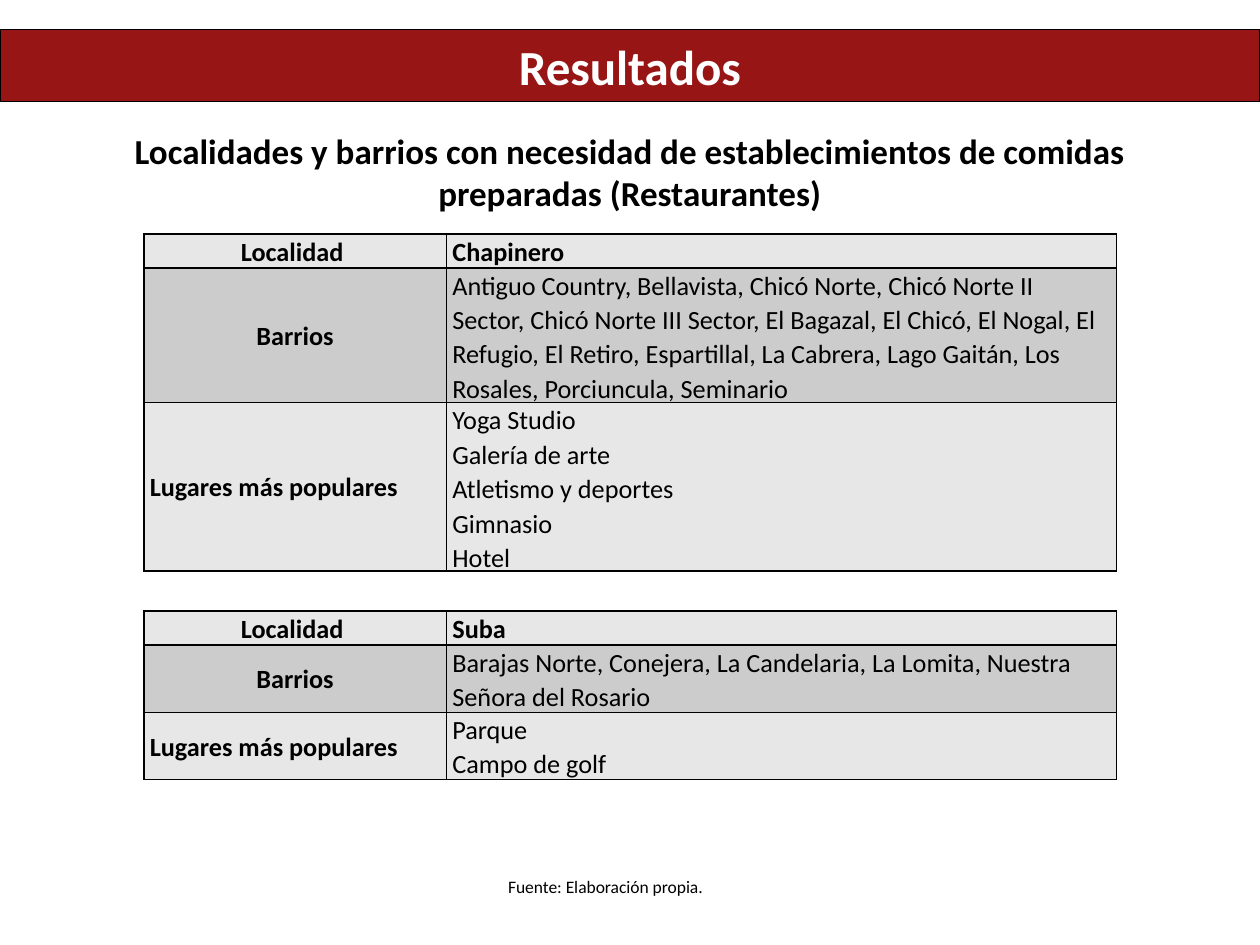
from dataclasses import dataclass

from lxml import etree
from pptx import Presentation
from pptx.dml.color import RGBColor
from pptx.enum.text import MSO_ANCHOR, MSO_AUTO_SIZE, PP_ALIGN
from pptx.oxml.ns import qn
from pptx.slide import Slide
from pptx.table import _Cell
from pptx.text.text import TextFrame
from pptx.util import Cm, Pt

CENTER, LEFT = PP_ALIGN.CENTER, PP_ALIGN.LEFT
TOP, MIDDLE = MSO_ANCHOR.TOP, MSO_ANCHOR.MIDDLE
NO_AUTOFIT = MSO_AUTO_SIZE.NONE
TITLE_ONLY = 5


@dataclass(frozen=True)
class Theme:
    font: str = "Calibri"
    banner: str = "971515"
    black: str = "000000"
    white: str = "FFFFFF"
    light: str = "E7E7E7"
    dark: str = "CCCCCC"
    title_size: int = 28
    heading_size: int = 20
    table_size: int = 15
    source_size: int = 10


@dataclass(frozen=True)
class Caption:
    text: str
    left: float
    top: float
    width: float
    height: float
    size: int
    bold: bool
    anchor: MSO_ANCHOR


@dataclass(frozen=True)
class District:
    top: float
    name: str
    neighbourhoods: str
    neighbourhood_lines: int
    places: tuple[str, ...]


THEME = Theme()
TABLE_LEFT = 2.9
COLUMN_WIDTHS = (6.1, 13.51)
LINE_HEIGHT = 0.67
CELL_MARGIN = 0.12

CAPTIONS = (
    Caption("Localidades y barrios con necesidad de establecimientos de comidas "
            "preparadas (Restaurantes)",
            1.85, 2.49, 21.69, 2.82, THEME.heading_size, True, TOP),
    Caption("Fuente: Elaboración propia.",
            3.1, 17.53, 18.21, 0.69, THEME.source_size, False, MIDDLE),
)

DISTRICTS = (
    District(4.72, "Chapinero",
             "Antiguo Country, Bellavista, Chicó Norte, Chicó Norte II Sector, "
             "Chicó Norte III Sector, El Bagazal, El Chicó, El Nogal, El Refugio, "
             "El Retiro, Espartillal, La Cabrera, Lago Gaitán, Los Rosales, "
             "Porciuncula, Seminario", 4,
             ("Yoga Studio", "Galería de arte", "Atletismo y deportes", "Gimnasio", "Hotel")),
    District(12.32, "Suba",
             "Barajas Norte, Conejera, La Candelaria, La Lomita, "
             "Nuestra Señora del Rosario", 2,
             ("Parque", "Campo de golf")),
)


def write(frame: TextFrame, text: str, size: int, bold: bool, color: str,
          align: PP_ALIGN, spacing: float = 1.0) -> None:
    frame.text = text
    frame.word_wrap = True
    for para in frame.paragraphs:
        para.alignment = align
        para.line_spacing = spacing
        for span in para.runs:
            span.font.name = THEME.font
            span.font.size = Pt(size)
            span.font.bold = bold
            span.font.color.rgb = RGBColor.from_string(color)


def draw_title(slide: Slide, text: str) -> None:
    banner = slide.shapes.title
    banner.left, banner.top = Cm(0), Cm(0.6)
    banner.width, banner.height = Cm(25.4), Cm(1.45)
    banner.fill.solid()
    banner.fill.fore_color.rgb = RGBColor.from_string(THEME.banner)
    banner.line.color.rgb = RGBColor.from_string(THEME.black)
    banner.line.width = Pt(0.75)
    write(banner.text_frame, text, THEME.title_size, True, THEME.white, CENTER)
    banner.text_frame.auto_size = NO_AUTOFIT
    banner.text_frame.vertical_anchor = MIDDLE


def draw_caption(slide: Slide, caption: Caption) -> None:
    box = slide.shapes.add_textbox(Cm(caption.left), Cm(caption.top),
                                   Cm(caption.width), Cm(caption.height))
    write(box.text_frame, caption.text, caption.size, caption.bold, THEME.black, CENTER)
    box.text_frame.vertical_anchor = caption.anchor


def add_borders(cell: _Cell) -> None:
    properties = cell._tc.get_or_add_tcPr()
    for position, side in enumerate(("a:lnL", "a:lnR", "a:lnT", "a:lnB")):
        border = etree.Element(qn(side), w=str(Pt(1)))
        fill = etree.SubElement(border, qn("a:solidFill"))
        etree.SubElement(fill, qn("a:srgbClr"), val=THEME.black)
        properties.insert(position, border)


def draw_cell(cell: _Cell, text: str, bold: bool, align: PP_ALIGN, fill: str) -> None:
    write(cell.text_frame, text, THEME.table_size, bold, THEME.black, align, 1.07)
    cell.vertical_anchor = MIDDLE
    cell.margin_left = cell.margin_right = Cm(CELL_MARGIN)
    cell.margin_top = cell.margin_bottom = Cm(0)
    cell.fill.solid()
    cell.fill.fore_color.rgb = RGBColor.from_string(fill)
    add_borders(cell)


def draw_district(slide: Slide, district: District) -> None:
    rows = (
        ("Localidad ", CENTER, district.name, True, 1, THEME.light),
        ("Barrios", CENTER, district.neighbourhoods, False,
         district.neighbourhood_lines, THEME.dark),
        ("Lugares más populares", LEFT, "\n".join(district.places), False,
         len(district.places), THEME.light),
    )
    total_lines = sum(row[4] for row in rows)
    table = slide.shapes.add_table(
        len(rows), len(COLUMN_WIDTHS), Cm(TABLE_LEFT), Cm(district.top),
        Cm(sum(COLUMN_WIDTHS)), Cm(total_lines * LINE_HEIGHT)).table
    for column, width in zip(table.columns, COLUMN_WIDTHS):
        column.width = Cm(width)
    for index, (label, align, value, bold, lines, fill) in enumerate(rows):
        table.rows[index].height = Cm(lines * LINE_HEIGHT)
        draw_cell(table.cell(index, 0), label, True, align, fill)
        draw_cell(table.cell(index, 1), value, bold, LEFT, fill)


def main() -> None:
    deck = Presentation()
    deck.slide_width, deck.slide_height = Cm(25.4), Cm(19.05)
    slide = deck.slides.add_slide(deck.slide_layouts[TITLE_ONLY])
    draw_title(slide, "Resultados")
    for caption in CAPTIONS:
        draw_caption(slide, caption)
    for district in DISTRICTS:
        draw_district(slide, district)
    deck.save("out.pptx")


if __name__ == "__main__":
    main()
